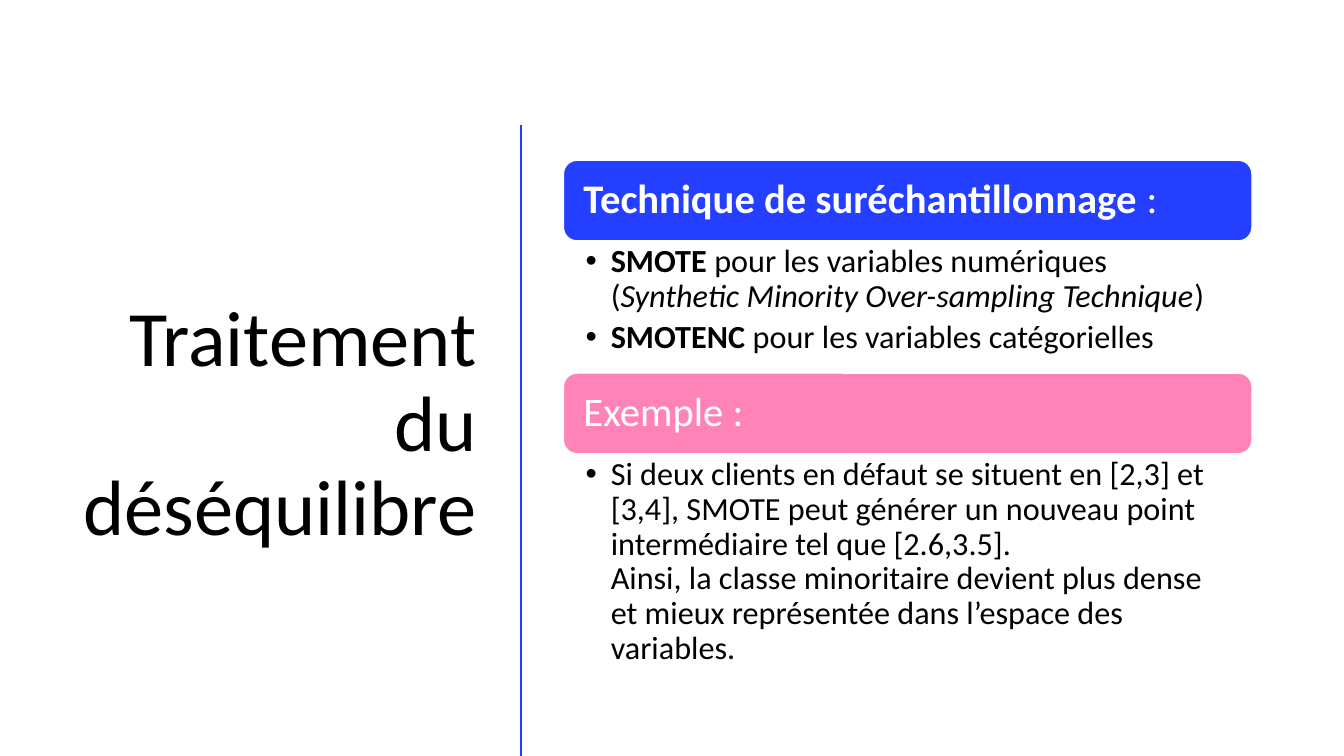
import pptx
import pptx.dml.color
import pptx.enum.shapes
import pptx.enum.text
import pptx.oxml.ns
import pptx.util
from lxml import etree

Pt = pptx.util.Pt
ANCHOR = pptx.enum.text.MSO_ANCHOR
ALIGN = pptx.enum.text.PP_ALIGN

# Content: a run is (text, style), a paragraph a list of runs
TITLE = "Traitement du déséquilibre"
SECTIONS = [
    {
        "color": "243FFF",
        "heading": [("Technique de suréchantillonnage", "bold"), (" :", None)],
        "bullets": [
            [("SMOTE", "bold"), (" pour les variables numériques (", None),
             ("Synthetic Minority Over-sampling Technique", "italic"), (")", None)],
            [("SMOTENC", "bold"), (" pour les variables catégorielles", None)],
        ],
        "list_height": 94.4,
    },
    {
        "color": "FF83B6",
        "heading": [("Exemple :", None)],
        "bullets": [
            [("Si deux clients en défaut se situent en [2,3] et [3,4], SMOTE peut "
              "générer un nouveau point intermédiaire tel que [2.6,3.5].", None),
             ("\n", None),
             ("Ainsi, la classe minoritaire devient plus dense et mieux représentée "
              "dans l’espace des variables.", None)],
        ],
        "list_height": 170,
    },
]

# Layout in points
PAGE_WIDTH, PAGE_HEIGHT = 960, 540
TITLE_BOX = (37.4, 84.2, 310.3, 440)
RULE_X, RULE_TOP = 372.2, 89.3
COLUMN_LEFT, COLUMN_TOP, COLUMN_WIDTH = 402.5, 114.5, 491.8
HEADING_HEIGHT = 57.6
HEADING_FRAME = {"margin_left": Pt(11.5), "margin_right": Pt(11.5),
                 "margin_top": Pt(0), "margin_bottom": Pt(0),
                 "vertical_anchor": ANCHOR.MIDDLE}
LIST_FRAME = {"margin_left": Pt(15.8), "margin_right": Pt(16.6),
              "margin_top": Pt(2.9), "margin_bottom": Pt(2.9),
              "vertical_anchor": ANCHOR.TOP}
TITLE_FRAME = {"vertical_anchor": ANCHOR.MIDDLE}


def rgb(value):
    return pptx.dml.color.RGBColor.from_string(value)


def apply(target, values):
    for name, value in values.items():
        setattr(target, name, value)


def place(box, left, top, width, height):
    apply(box, {"left": Pt(left), "top": Pt(top),
                "width": Pt(width), "height": Pt(height)})


def write(box, paragraphs, frame_format, size, color, align=ALIGN.LEFT, after=0):
    frame = box.text_frame
    apply(frame, {"word_wrap": True, "auto_size": pptx.enum.text.MSO_AUTO_SIZE.NONE})
    apply(frame, frame_format)
    for index, runs in enumerate(paragraphs):
        para = frame.add_paragraph() if index else frame.paragraphs[0]
        apply(para, {"alignment": align, "line_spacing": 0.9,
                     "space_before": Pt(0), "space_after": Pt(after)})
        for text, style in runs:
            if text == "\n":
                para.add_line_break()
                continue
            span = para.add_run()
            span.text = text
            apply(span.font, {"name": "Calibri", "size": Pt(size),
                              "bold": style == "bold", "italic": style == "italic"})
            span.font.color.rgb = rgb(color)


def add_bullets(box):
    for para in box.text_frame.paragraphs:
        properties = para._p.get_or_add_pPr()
        properties.set("marL", str(Pt(18)))
        properties.set("indent", str(Pt(-18)))
        bullet = etree.SubElement(properties, pptx.oxml.ns.qn("a:buChar"))
        bullet.set("char", "•")


deck = pptx.Presentation()
apply(deck, {"slide_width": Pt(PAGE_WIDTH), "slide_height": Pt(PAGE_HEIGHT)})
page = deck.slides.add_slide(deck.slide_layouts[3])  # title and two lists

# Title
title = page.shapes.title
place(title, *TITLE_BOX)
write(title, [[(TITLE, None)]], TITLE_FRAME, 56, "000000", ALIGN.RIGHT)

# Vertical rule
rule = page.shapes.add_connector(pptx.enum.shapes.MSO_CONNECTOR.STRAIGHT,
                                 Pt(RULE_X), Pt(RULE_TOP), Pt(RULE_X), Pt(PAGE_HEIGHT))
rule.line.color.rgb = rgb("243FFF")
rule.line.width = Pt(2)
etree.SubElement(rule._element.spPr, pptx.oxml.ns.qn("a:effectLst"))

# Sections: a coloured heading above each list
top = COLUMN_TOP
for section, bullet_box in zip(SECTIONS, list(page.placeholders)[1:]):
    heading = page.shapes.add_shape(
        pptx.enum.shapes.MSO_SHAPE.ROUNDED_RECTANGLE,
        Pt(COLUMN_LEFT), Pt(top), Pt(COLUMN_WIDTH), Pt(HEADING_HEIGHT))
    heading.shadow.inherit = False
    heading.fill.solid()
    heading.fill.fore_color.rgb = rgb(section["color"])
    heading.line.color.rgb = rgb("FFFFFF")
    heading.line.width = Pt(1)
    write(heading, [section["heading"]], HEADING_FRAME, 29, "FFFFFF")
    top += HEADING_HEIGHT

    place(bullet_box, COLUMN_LEFT, top, COLUMN_WIDTH, section["list_height"])
    write(bullet_box, section["bullets"], LIST_FRAME, 23, "000000", after=4.6)
    add_bullets(bullet_box)
    top += section["list_height"]

deck.save("out.pptx")
